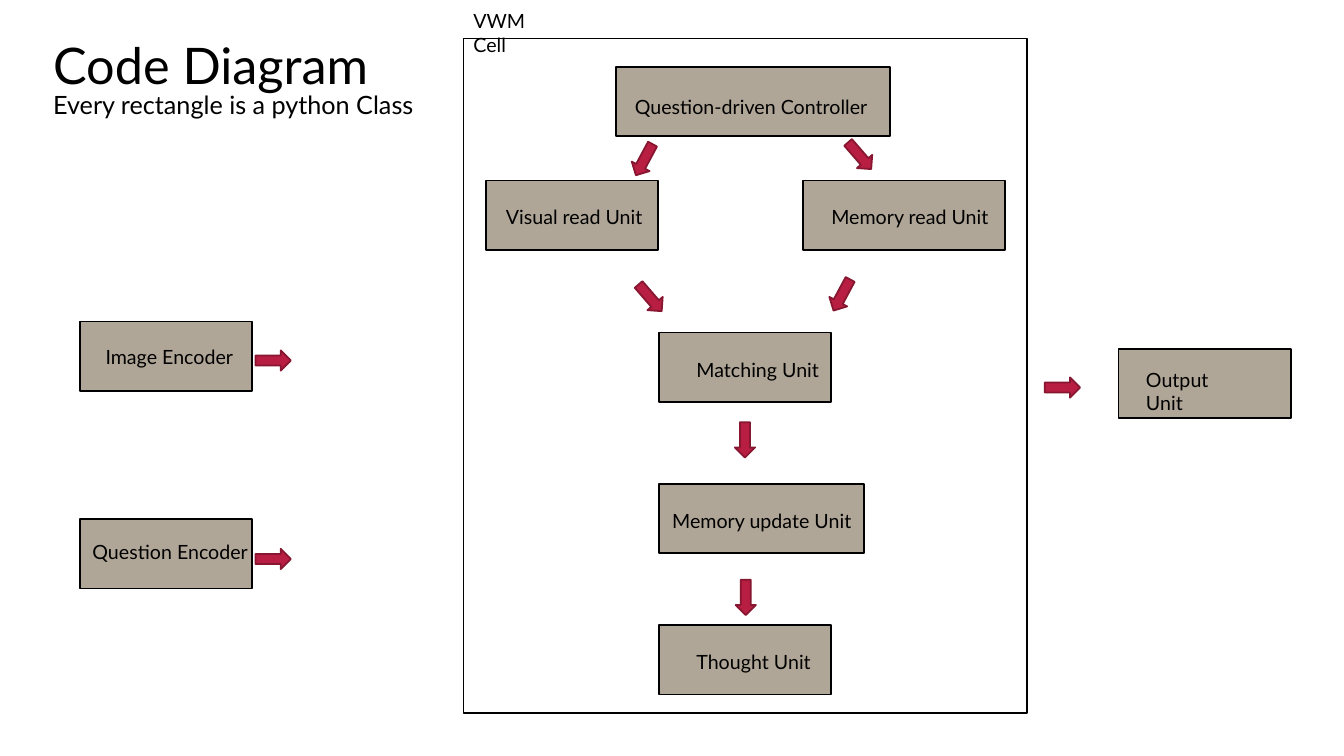
from pptx import Presentation
from pptx.dml.color import RGBColor
from pptx.enum.shapes import MSO_SHAPE as Shape
from pptx.enum.text import MSO_ANCHOR as Anchor, MSO_AUTO_SIZE as AutoSize, PP_ALIGN as Align
from pptx.util import Cm, Pt

FONT = "Lato"
BLACK, WHITE, TAUPE, RED, DARK_RED = "000000", "FFFFFF", "B0A697", "B71E42", "871631"
UNIT_WIDTH, UNIT_HEIGHT, LABEL_HEIGHT = 4.34, 1.75, 0.86
ARROW_WIDTH, ARROW_LENGTH = 0.51, 0.89
DOWN, DOWN_RIGHT, DOWN_LEFT, RIGHT = 0, 319.1, 28.2, 270

# All lengths are in centimetres.
HEADINGS = [  # text, left, top, width, height, size
    ("Code Diagram", 1.09, 0.74, 8.59, 1.8, 36),
    ("Every rectangle is a python Class", 1.09, 2.13, 9.93, 1.02, 18),
    ("VWM Cell", 11.68, 0.1, 2.5, LABEL_HEIGHT, 14),
]
CELL = (11.68, 0.97, 14.2, 16.99)
UNITS = [  # name, box (left, top, width), label (left, top, width)
    ("Question-driven Controller", (15.52, 1.68, 6.91), (15.75, 2.26, 6.48)),
    ("Image Encoder", (2.01, 8.1, UNIT_WIDTH), (2.41, 8.56, 3.91)),
    ("Question Encoder", (2.01, 13.08, UNIT_WIDTH), (2.08, 13.49, 4.5)),
    ("Visual read Unit", (12.24, 4.55, UNIT_WIDTH), (12.5, 5.03, 4.04)),
    ("Memory read Unit", (20.24, 4.55, 5.08), (20.7, 5.03, 4.5)),
    ("Matching Unit", (16.61, 8.38, UNIT_WIDTH), (17.3, 8.89, 3.61)),
    ("Memory update Unit", (16.61, 12.19, 5.16), (16.69, 12.7, 5.08)),
    ("Thought Unit", (16.61, 15.75, UNIT_WIDTH), (17.3, 16.26, 3.4)),
    ("Output Unit", (28.19, 8.79, UNIT_WIDTH), (28.63, 9.14, 2.8)),
]
ARROWS = [  # left, top, direction
    (18.52, 10.64, DOWN),
    (18.54, 14.61, DOWN),
    (21.41, 3.48, DOWN_RIGHT),
    (16.13, 7.06, DOWN_RIGHT),
    (20.96, 6.99, DOWN_LEFT),
    (15.98, 3.58, DOWN_LEFT),
    (6.63, 8.64, RIGHT),
    (6.63, 13.64, RIGHT),
    (26.52, 9.32, RIGHT),
]


def color(hex_code):
    return RGBColor.from_string(hex_code)


def add_block(slide, kind, left, top, width, height, fill, line, rotation=0):
    block = slide.shapes.add_shape(kind, Cm(left), Cm(top), Cm(width), Cm(height))
    block.shadow.inherit = False
    block.fill.solid()
    block.fill.fore_color.rgb = color(fill)
    block.line.color.rgb = color(line)
    block.line.width = Pt(1.25)
    block.rotation = rotation


def add_text(slide, text, left, top, width, height=LABEL_HEIGHT, size=14, ink=BLACK):
    box = slide.shapes.add_textbox(Cm(left), Cm(top), Cm(width), Cm(height))
    frame = box.text_frame
    frame.word_wrap = True
    frame.auto_size = AutoSize.SHAPE_TO_FIT_TEXT
    frame.vertical_anchor = Anchor.TOP
    paragraph = frame.paragraphs[0]
    paragraph.alignment = Align.LEFT
    run = paragraph.add_run()
    run.text = text
    run.font.name = FONT
    run.font.size = Pt(size)
    run.font.color.rgb = color(ink)


def main():
    deck = Presentation()
    deck.slide_width, deck.slide_height = Cm(33.87), Cm(19.05)
    slide = deck.slides.add_slide(deck.slide_layouts[6])

    add_block(slide, Shape.RECTANGLE, *CELL, fill=WHITE, line=BLACK)
    for name, box, label in UNITS:
        add_block(slide, Shape.RECTANGLE, *box, UNIT_HEIGHT, fill=TAUPE, line=BLACK)
        add_text(slide, name, *label)
    for text, left, top, width, height, size in HEADINGS:
        add_text(slide, text, left, top, width, height, size=size)
    for left, top, direction in ARROWS:
        add_block(slide, Shape.DOWN_ARROW, left, top, ARROW_WIDTH, ARROW_LENGTH,
                  fill=RED, line=DARK_RED, rotation=direction)

    deck.save("out.pptx")


if __name__ == "__main__":
    main()
